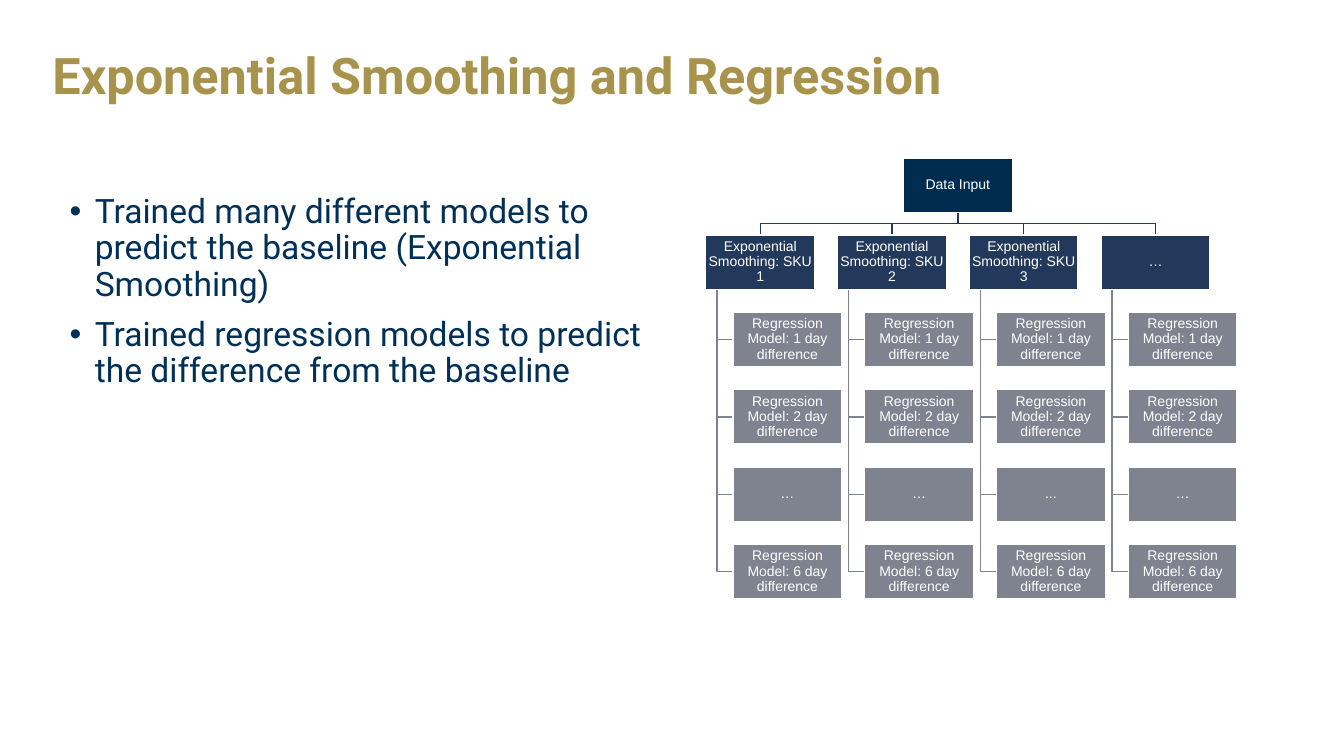
"""Build the slide on exponential smoothing and regression models."""
from pptx import Presentation
from pptx.dml.color import RGBColor
from pptx.enum.shapes import MSO_SHAPE
from pptx.enum.text import MSO_ANCHOR, MSO_AUTO_SIZE, PP_ALIGN
from pptx.util import Inches, Pt

TITLE = "Exponential Smoothing and Regression"
POINTS = [
    "Trained many different models to predict the baseline (Exponential Smoothing)",
    "Trained regression models to predict the difference from the baseline",
]
ROOT = "Data Input"
ONE_DAY = "Regression Model: 1 day difference"
TWO_DAY = "Regression Model: 2 day difference"
TWO_DAY_TIED = "Regression Model: 2 day difference"
SIX_DAY = "Regression Model: 6 day difference"
BRANCHES = [
    ("Exponential Smoothing: SKU 1", [ONE_DAY, TWO_DAY, "…", SIX_DAY]),
    ("Exponential Smoothing: SKU 2", [ONE_DAY, TWO_DAY_TIED, "…", SIX_DAY]),
    ("Exponential Smoothing: SKU 3", [ONE_DAY, TWO_DAY_TIED, "...", SIX_DAY]),
    ("…", [ONE_DAY, TWO_DAY_TIED, "…", SIX_DAY]),
]

GOLD, BLUE, WHITE = "A7934B", "003057", "FFFFFF"
ROOT_FILL, BRANCH_FILL, MODEL_FILL = "002C4F", "22395B", "7F8390"

BOX_W, BOX_H = 1.08, 0.54
ROOT_X, ROOT_Y = 8.96, 1.57
BRANCH_X, BRANCH_Y = 7, 2.33
COLUMN_STEP, ROW_STEP = 3.92 / 3, 3.07 / 4
STEM_INSET, MODEL_INSET = 0.11, 0.27


def color(hex_code):
    return RGBColor.from_string(hex_code)


def style_font(font, name, size, hex_code, bold=False):
    font.name, font.size, font.bold = name, Pt(size), bold
    font.color.rgb = color(hex_code)


def place(placeholder, left, top, width, height, anchor):
    placeholder.left, placeholder.top = Inches(left), Inches(top)
    placeholder.width, placeholder.height = Inches(width), Inches(height)
    placeholder.text_frame.auto_size = MSO_AUTO_SIZE.NONE
    placeholder.text_frame.vertical_anchor = anchor


def add_link(slide, points, hex_code):
    start, *rest = [(Inches(x), Inches(y)) for x, y in points]
    outline = slide.shapes.build_freeform(*start)
    outline.add_line_segments(rest, close=False)
    link = outline.convert_to_shape()
    link.shadow.inherit = False
    link.fill.background()
    link.line.color.rgb = color(hex_code)
    link.line.width = Pt(1)


def add_box(slide, label, left, top, hex_code):
    box = slide.shapes.add_shape(
        MSO_SHAPE.RECTANGLE, Inches(left), Inches(top), Inches(BOX_W), Inches(BOX_H))
    box.shadow.inherit = False
    box.fill.solid()
    box.fill.fore_color.rgb = color(hex_code)
    box.line.color.rgb = color(WHITE)
    box.line.width = Pt(1)
    frame = box.text_frame
    frame.word_wrap = True
    frame.vertical_anchor = MSO_ANCHOR.MIDDLE
    frame.margin_left = frame.margin_right = Inches(0.01)
    frame.margin_top = frame.margin_bottom = Inches(0.01)
    paragraph = frame.paragraphs[0]
    paragraph.text = label
    paragraph.alignment = PP_ALIGN.CENTER
    paragraph.line_spacing = 0.9
    style_font(paragraph.font, "Arial", 10, WHITE)


def add_title(slide):
    title = slide.shapes.title
    place(title, 0.42, 0.22, 12.5, 1.11, MSO_ANCHOR.MIDDLE)
    heading = title.text_frame.paragraphs[0]
    heading.text = TITLE
    heading.alignment = PP_ALIGN.LEFT
    heading.line_spacing = 0.9
    style_font(heading.font, "Roboto", 36, GOLD, bold=True)


def add_points(slide):
    body = slide.placeholders[1]
    place(body, 0.59, 1.88, 6.14, 4.62, MSO_ANCHOR.TOP)
    body.text_frame.text = "\n".join(POINTS)
    for index, point in enumerate(body.text_frame.paragraphs):
        indents = point._p.get_or_add_pPr()
        indents.set("marL", str(Inches(0.25)))
        indents.set("indent", str(-Inches(0.25)))
        point.line_spacing = 0.9
        point.space_before = Pt(10 if index else 0)
        style_font(point.font, "Roboto", 24, BLUE)


def add_tree(slide):
    root_center, root_bottom = ROOT_X + BOX_W / 2, ROOT_Y + BOX_H
    bus_y = (root_bottom + BRANCH_Y) / 2
    boxes = [(ROOT, ROOT_X, ROOT_Y, ROOT_FILL)]
    for column, (branch, models) in enumerate(BRANCHES):
        left = BRANCH_X + column * COLUMN_STEP
        center, stem = left + BOX_W / 2, left + STEM_INSET
        boxes.append((branch, left, BRANCH_Y, BRANCH_FILL))
        add_link(slide, [(root_center, root_bottom), (root_center, bus_y),
                         (center, bus_y), (center, BRANCH_Y)], BRANCH_FILL)
        for row, model in enumerate(models, start=1):
            top, model_left = BRANCH_Y + row * ROW_STEP, left + MODEL_INSET
            middle = top + BOX_H / 2
            boxes.append((model, model_left, top, MODEL_FILL))
            add_link(slide, [(stem, BRANCH_Y + BOX_H), (stem, middle),
                             (model_left, middle)], MODEL_FILL)
    for box in boxes:
        add_box(slide, *box)


def main():
    deck = Presentation()
    deck.slide_width, deck.slide_height = Inches(13.33), Inches(7.5)
    slide = deck.slides.add_slide(deck.slide_layouts[1])
    add_title(slide)
    add_points(slide)
    add_tree(slide)
    deck.save("out.pptx")


if __name__ == "__main__":
    main()
